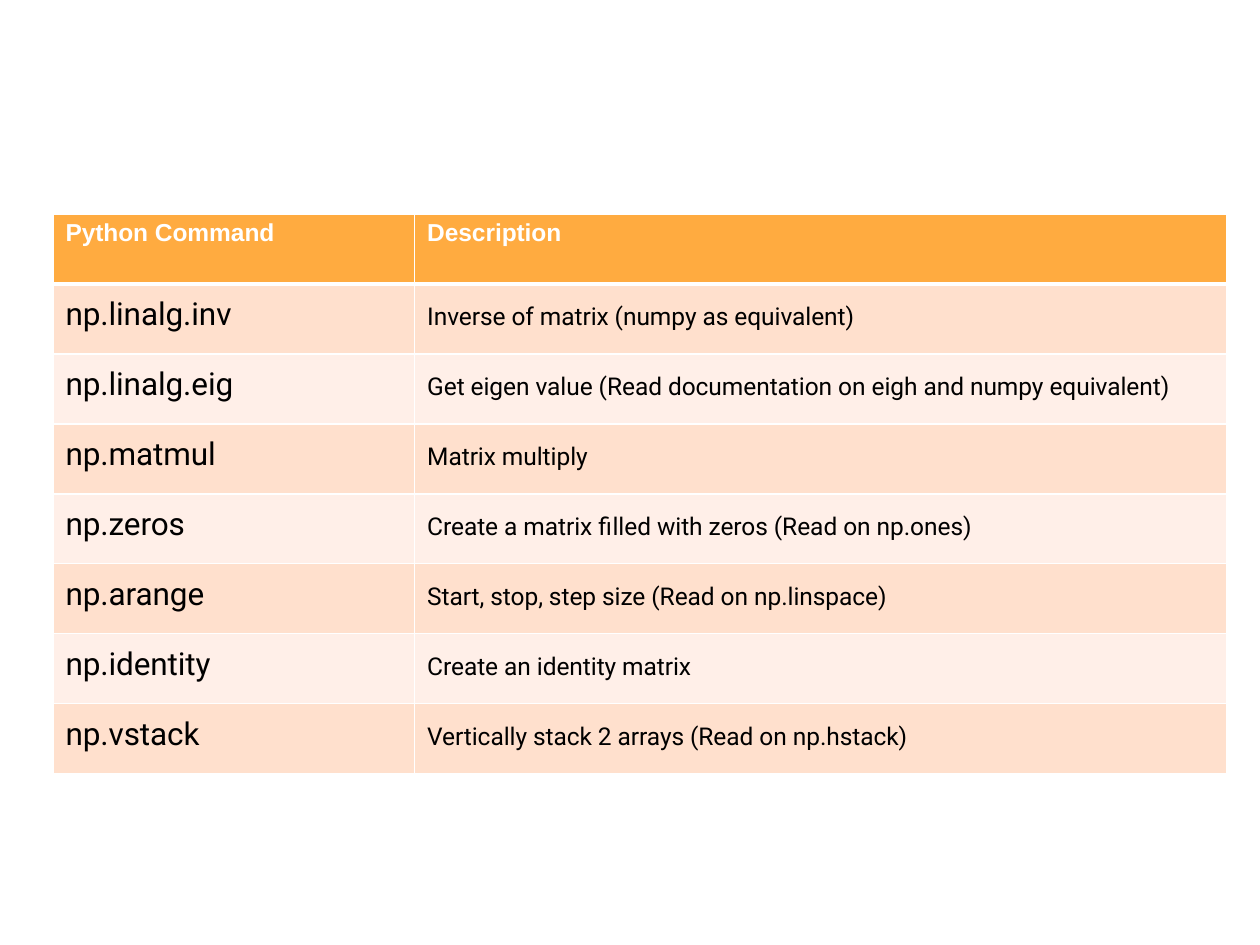
from dataclasses import dataclass

from lxml.etree import SubElement
from pptx import Presentation
from pptx.dml.color import RGBColor as Rgb
from pptx.oxml.ns import qn
from pptx.util import Inches, Pt


@dataclass(frozen=True)
class Theme:
    header_fill: str = "FFAB40"
    bands: tuple = ("FFE0CD", "FFEFE8")
    rule: str = "FFFFFF"
    header_text: str = "FFFFFF"
    body_text: str = "000000"
    header_font: str = "Arial"
    body_font: str = "Roboto"
    command_size: int = 18
    text_size: int = 14
    tracking: int = -5  # hundredths of a point
    thin: int = 1
    thick: int = 3


COLUMNS, ROWS = 100, 75
COMMAND_SHARE = 0.308
INDENT = 0.1
HEADER_INSET = 0.04
BODY_INSETS = (0.1, 0.15)

HEADINGS = ("Python Command", "Description")
COMMANDS = (
    ("np.linalg.inv", "Inverse of matrix (numpy as equivalent)"),
    ("np.linalg.eig", "Get eigen value (Read documentation on eigh and numpy equivalent)"),
    ("np.matmul", "Matrix multiply"),
    ("np.zeros", "Create a matrix filled with zeros (Read on np.ones)"),
    ("np.arange", "Start, stop, step size (Read on np.linspace)"),
    ("np.identity", "Create an identity matrix"),
    ("np.vstack", "Vertically stack 2 arrays (Read on np.hstack)"),
)


class Deck:
    def __init__(self, theme):
        self.theme = theme
        self.file = Presentation()
        self.file.slide_width, self.file.slide_height = Inches(10), Inches(7.5)
        self.slide = self.file.slides.add_slide(self.file.slide_layouts[6])

    def x(self, columns):
        return round(self.file.slide_width * columns / COLUMNS)

    def y(self, rows):
        return round(self.file.slide_height * rows / ROWS)

    def borders(self, cell, top, bottom):
        properties = cell._tc.get_or_add_tcPr()
        widths = {"L": self.theme.thin, "R": self.theme.thin, "T": top, "B": bottom}
        for side, width in widths.items():
            line = SubElement(properties, qn(f"a:ln{side}"), w=str(Pt(width)))
            fill = SubElement(line, qn("a:solidFill"))
            SubElement(fill, qn("a:srgbClr"), val=self.theme.rule)

    def cell(self, cell, text, fill, inset, font, size, color, bold, top, bottom):
        self.borders(cell, top, bottom)
        cell.fill.solid()
        cell.fill.fore_color.rgb = Rgb.from_string(fill)
        cell.margin_left = cell.margin_right = cell.margin_bottom = 0
        cell.margin_top = Inches(inset)
        paragraph = cell.text_frame.paragraphs[0]
        paragraph._p.get_or_add_pPr().set("marL", str(Inches(INDENT)))
        run = paragraph.add_run()
        run.text = text
        run.font.name, run.font.size, run.font.bold = font, Pt(size), bold
        run.font.color.rgb = Rgb.from_string(color)
        run._r.get_or_add_rPr().set("spc", str(self.theme.tracking))

    def table(self, headings, records, left, top, width, height):
        theme = self.theme
        frame = self.slide.shapes.add_table(
            len(records) + 1, len(headings),
            self.x(left), self.y(top), self.x(width), self.y(height))
        table = frame.table
        for column, share in zip(table.columns, (COMMAND_SHARE, 1 - COMMAND_SHARE)):
            column.width = self.x(width * share)
        for row in table.rows:
            row.height = self.y(height / len(table.rows))

        for column, heading in enumerate(headings):
            self.cell(table.cell(0, column), heading, theme.header_fill, HEADER_INSET,
                      theme.header_font, theme.text_size, theme.header_text, True,
                      theme.thin, theme.thick)
        sizes = (theme.command_size, theme.text_size)
        for row, record in enumerate(records, start=1):
            band = theme.bands[(row - 1) % len(theme.bands)]
            upper_rule = theme.thick if row == 1 else theme.thin
            for column, (text, inset, size) in enumerate(zip(record, BODY_INSETS, sizes)):
                self.cell(table.cell(row, column), text, band, inset, theme.body_font,
                          size, theme.body_text, False, upper_rule, theme.thin)


def main():
    deck = Deck(Theme())
    deck.table(HEADINGS, COMMANDS, left=4.2, top=17, width=93.2, height=44.4)
    deck.file.save("out.pptx")


if __name__ == "__main__":
    main()
